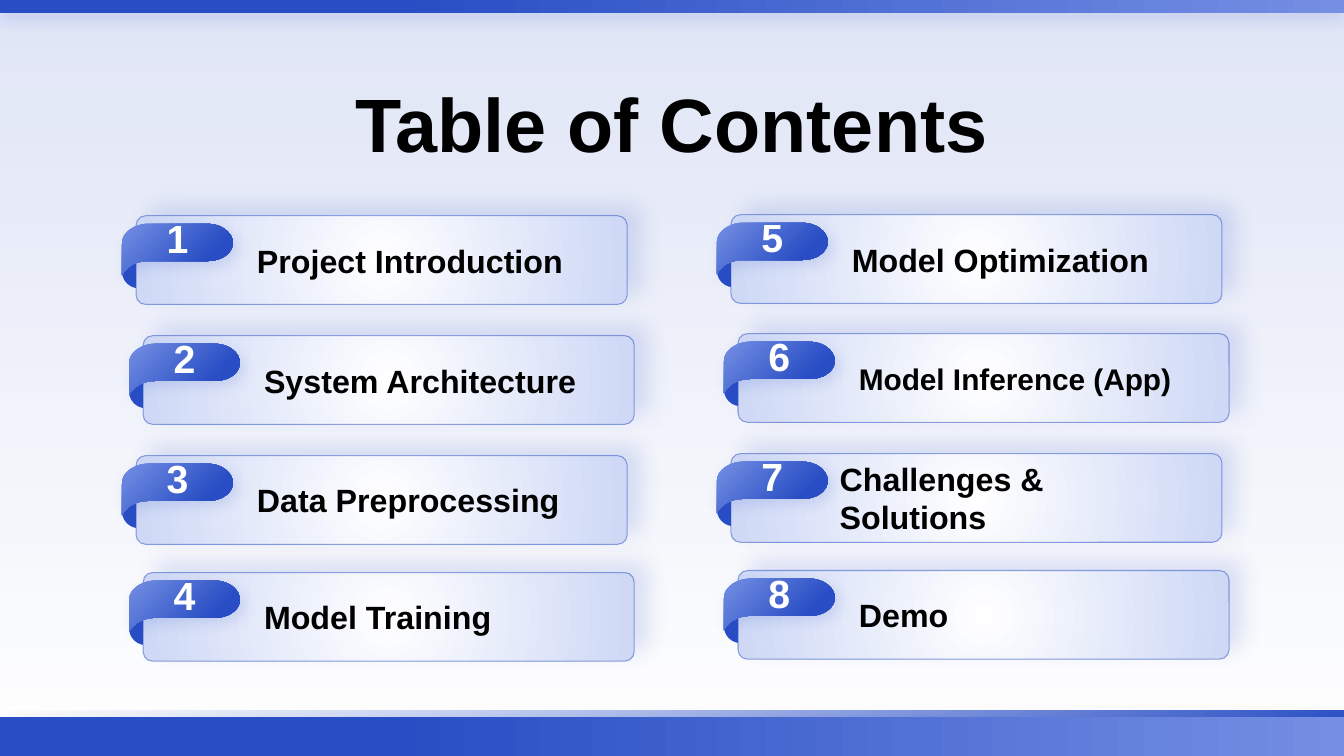
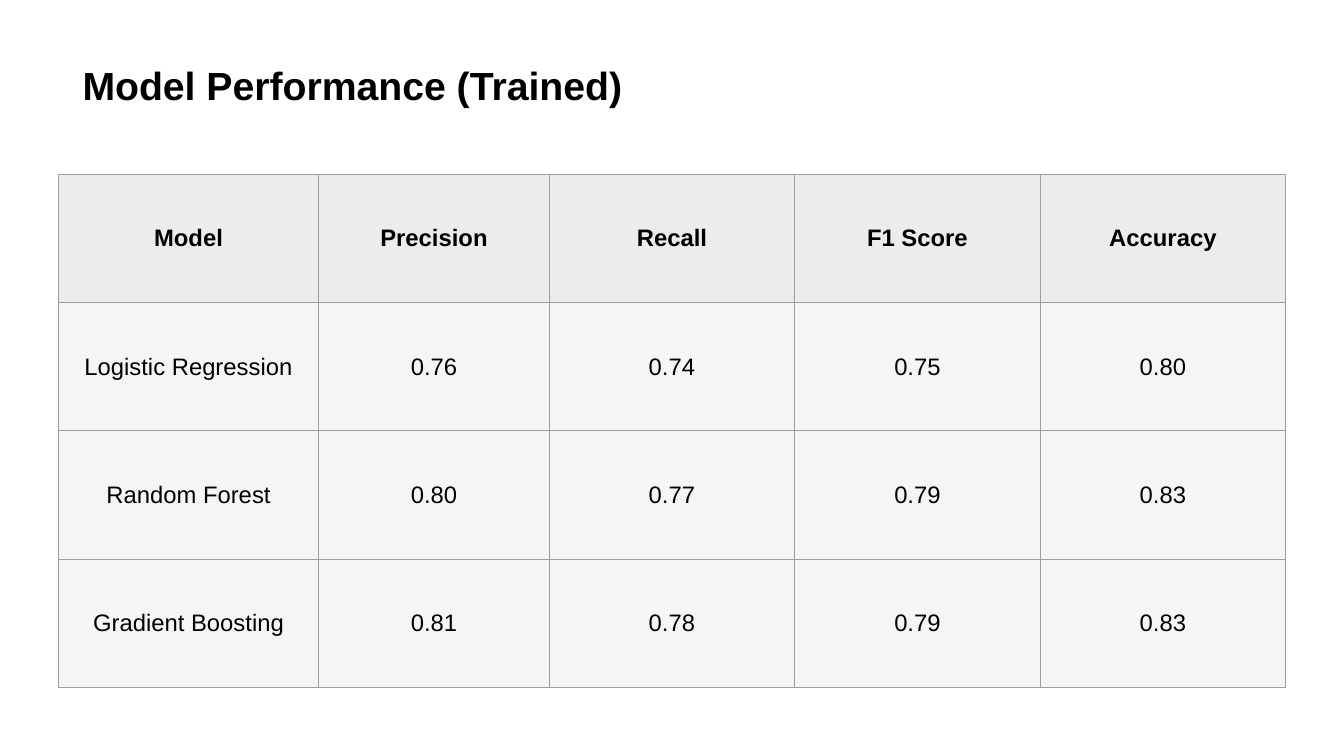
"""Builds a contents page and a model performance table."""
from dataclasses import dataclass
from typing import Optional

from lxml.etree import SubElement
from pptx import Presentation
from pptx.dml.color import RGBColor
from pptx.enum.shapes import MSO_SHAPE
from pptx.enum.text import MSO_ANCHOR, PP_ALIGN
from pptx.oxml import parse_xml
from pptx.oxml.ns import nsdecls, qn
from pptx.util import Inches, Pt

RECTANGLE = MSO_SHAPE.RECTANGLE
ROUNDED = MSO_SHAPE.ROUNDED_RECTANGLE
LEFT, CENTER = PP_ALIGN.LEFT, PP_ALIGN.CENTER
MIDDLE, BOTTOM = MSO_ANCHOR.MIDDLE, MSO_ANCHOR.BOTTOM

BLUE = RGBColor(0x28, 0x4D, 0xC4)
LIGHT_BLUE = RGBColor(0x74, 0x8F, 0xE3)
PALE_BLUE = RGBColor(0xCF, 0xD9, 0xF6)
WHITE = RGBColor(0xFF, 0xFF, 0xFF)
BLACK = RGBColor(0x00, 0x00, 0x00)
HEADER_GRAY = RGBColor(0xEC, 0xEC, 0xEC)
BODY_GRAY = RGBColor(0xF5, 0xF5, 0xF5)
BORDER_GRAY = RGBColor(0x9E, 0x9E, 0x9E)

FONT = "Arial"
PAGE_WIDTH, PAGE_HEIGHT = 13.33, 7.5


@dataclass(frozen=True)
class Box:
    left: float
    top: float
    width: float
    height: float

    def lengths(self) -> tuple:
        return tuple(Inches(side) for side in (self.left, self.top, self.width, self.height))


@dataclass(frozen=True)
class Stop:
    position: int
    color: RGBColor
    alpha: int = 100


@dataclass(frozen=True)
class Gradient:
    stops: tuple
    angle: Optional[int] = None


@dataclass(frozen=True)
class Shadow:
    blur: int
    distance: int
    angle: int


@dataclass(frozen=True)
class Style:
    size: float
    color: RGBColor = BLACK
    bold: bool = True
    align: PP_ALIGN = LEFT
    anchor: MSO_ANCHOR = MIDDLE


@dataclass(frozen=True)
class Entry:
    label: str
    size: float = 23
    indent: float = 1.1
    drop: float = 0.15
    width: float = 3.52


@dataclass(frozen=True)
class Band:
    box: Box
    fill: Gradient


PAGE_FILL = Gradient((Stop(0, BLUE, 0), Stop(100, BLUE, 15)), 270)
FADE_FILL = Gradient((Stop(0, LIGHT_BLUE, 0), Stop(100, BLUE)), 45)
BAND_FILL = Gradient((Stop(0, LIGHT_BLUE), Stop(71, BLUE), Stop(100, BLUE)), 180)
PANEL_FILL = Gradient((Stop(0, WHITE), Stop(97, PALE_BLUE), Stop(100, PALE_BLUE)))
RIBBON_FILL = Gradient((Stop(0, LIGHT_BLUE), Stop(75, BLUE), Stop(100, BLUE)), 45)
BAND_SHADOW = Shadow(10, 4, 90)
PANEL_SHADOW = Shadow(16, 12, 321)
RIBBON_SHADOW = Shadow(10, 5, 45)

BANDS = (
    Band(Box(0, 7.05, PAGE_WIDTH, 0.45), FADE_FILL),
    Band(Box(0, 7.11, PAGE_WIDTH, 0.39), BAND_FILL),
    Band(Box(0, 0, PAGE_WIDTH, 0.13), BAND_FILL),
)

ENTRIES = (
    Entry("Project Introduction"),
    Entry("System Architecture"),
    Entry("Data Preprocessing", drop=0.14),
    Entry("Model Training", drop=0.14),
    Entry("Model Optimization"),
    Entry("Model Inference (App)", size=21.3),
    Entry("Challenges & Solutions", indent=0.98, drop=0.14, width=3.4),
    Entry("Demo", drop=0.14),
)
COLUMN_LEFTS = (1.35, 7.25)
COLUMN_TOPS = ((2.14, 3.33, 4.52, 5.68), (2.13, 3.31, 4.5, 5.66))
STAGGER = 0.07

RIBBON_START = (0.26, 0)
RIBBON_SEGMENTS = (
    ((0.85, 0),),
    ((0.99, 0), (1.1, 0.09), (1.1, 0.19)),
    ((1.1, 0.29), (0.99, 0.37), (0.85, 0.37)),
    ((0.26, 0.37),),
    ((0.15, 0.37), (0.06, 0.42), (0.02, 0.48)),
    ((0, 0.51),),
    ((0, 0.41), (0, 0.31), (0, 0.21)),
    ((0, 0.18), (0, 0.16), (0.02, 0.12)),
    ((0.06, 0.05), (0.16, 0), RIBBON_START),
)

TABLE_BOX = Box(0.58, 1.73, 12.18, 5.09)
COLUMN_WIDTHS = (2.58, 2.29, 2.43, 2.44, 2.43)
SCORES = (
    ("Model", "Precision", "Recall", "F1 Score", "Accuracy"),
    ("Logistic Regression", "0.76", "0.74", "0.75", "0.80"),
    ("Random Forest", "0.80", "0.77", "0.79", "0.83"),
    ("Gradient Boosting", "0.81", "0.78", "0.79", "0.83"),
)


def write_text(frame, text: str, style: Style) -> None:
    frame.word_wrap = True
    frame.vertical_anchor = style.anchor
    frame.text = text
    para = frame.paragraphs[0]
    para.alignment = style.align
    font = para.runs[0].font
    font.name, font.size, font.bold = FONT, Pt(style.size), style.bold
    font.color.rgb = style.color


def add_text(page, box: Box, text: str, style: Style) -> None:
    write_text(page.shapes.add_textbox(*box.lengths()).text_frame, text, style)


def apply_gradient(shape, gradient: Gradient) -> None:
    stops = "".join(
        f'<a:gs pos="{stop.position * 1000}"><a:srgbClr val="{stop.color}">'
        f'<a:alpha val="{stop.alpha * 1000}"/></a:srgbClr></a:gs>'
        for stop in gradient.stops
    )
    if gradient.angle is None:
        direction = '<a:path path="circle"><a:fillToRect l="50000" t="50000" r="50000" b="50000"/></a:path>'
    else:
        direction = f'<a:lin ang="{gradient.angle * 60000}" scaled="0"/>'
    fill = f'<a:gradFill {nsdecls("a")} rotWithShape="1"><a:gsLst>{stops}</a:gsLst>{direction}</a:gradFill>'
    shape.element.spPr.insert(2, parse_xml(fill))


def apply_shadow(shape, shadow: Shadow) -> None:
    effects = shape.element.spPr.find(qn("a:effectLst"))
    effects.append(parse_xml(
        f'<a:outerShdw {nsdecls("a")} blurRad="{Pt(shadow.blur)}" dist="{Pt(shadow.distance)}" '
        f'dir="{shadow.angle * 60000}" algn="ctr" rotWithShape="0">'
        f'<a:srgbClr val="{BLUE}"><a:alpha val="15000"/></a:srgbClr></a:outerShdw>'
    ))


def make_plain(shape) -> None:
    shape.shadow.inherit = False
    shape.line.fill.background()


def add_box(page, kind: MSO_SHAPE, box: Box, rounding: float = 0):
    shape = page.shapes.add_shape(kind, *box.lengths())
    make_plain(shape)
    if kind == ROUNDED:
        shape.adjustments[0] = rounding
    return shape


def add_backdrop(page) -> None:
    apply_gradient(add_box(page, ROUNDED, Box(0, 0, PAGE_WIDTH, PAGE_HEIGHT)), PAGE_FILL)


def add_band(page, band: Band) -> None:
    shape = add_box(page, RECTANGLE, band.box)
    apply_gradient(shape, band.fill)
    apply_shadow(shape, BAND_SHADOW)


def add_panel(page, left: float, top: float) -> None:
    panel = add_box(page, ROUNDED, Box(left, top, 4.87, 0.88), 0.107)
    panel.line.color.rgb = BLUE
    panel.line.width = Pt(0.75)
    outline = panel.element.spPr.find(qn("a:ln"))
    SubElement(next(outline.iter(qn("a:srgbClr"))), qn("a:alpha"), val="50000")
    apply_gradient(panel, PANEL_FILL)
    apply_shadow(panel, PANEL_SHADOW)


def bend_outline(shape, segments: tuple) -> None:
    steps = iter(list(shape.element.spPr.iter(qn("a:lnTo"))))
    for segment in segments:
        first, *others = [next(steps) for _ in segment]
        if others:
            first.tag = qn("a:cubicBezTo")
        for step in others:
            first.append(step[0])
            step.getparent().remove(step)


def add_ribbon(page, left: float, top: float, number: int) -> None:
    points = [(Inches(x), Inches(y)) for segment in RIBBON_SEGMENTS for x, y in segment]
    builder = page.shapes.build_freeform(*(Inches(side) for side in RIBBON_START))
    builder.add_line_segments(points, close=True)
    ribbon = builder.convert_to_shape(Inches(left), Inches(top))
    bend_outline(ribbon, RIBBON_SEGMENTS)
    make_plain(ribbon)
    apply_gradient(ribbon, RIBBON_FILL)
    apply_shadow(ribbon, RIBBON_SHADOW)
    ribbon.text_frame.margin_bottom = Inches(0.28)
    write_text(ribbon.text_frame, str(number), Style(28, WHITE, align=CENTER))


def add_entry(page, index: int, entry: Entry) -> None:
    column, row = divmod(index, len(COLUMN_TOPS[0]))
    left = COLUMN_LEFTS[column] + STAGGER * (row % 2)
    top = COLUMN_TOPS[column][row]
    curl = add_box(page, ROUNDED, Box(left - 0.14, top + 0.39, 0.81, 0.33), 0.5)
    curl.fill.solid()
    curl.fill.fore_color.rgb = BLUE
    add_panel(page, left, top)
    label_box = Box(left + entry.indent, top + entry.drop, entry.width, 0.59)
    add_text(page, label_box, entry.label, Style(entry.size))
    add_ribbon(page, left - 0.14, top + 0.08, index + 1)


def format_cell(cell, text: str, header: bool) -> None:
    cell.margin_left = cell.margin_right = cell.margin_top = cell.margin_bottom = Inches(0.1)
    write_text(cell.text_frame, text, Style(17, bold=header, align=CENTER))
    cell.vertical_anchor = MIDDLE
    properties = cell._tc.get_or_add_tcPr()
    for side in ("lnL", "lnR", "lnT", "lnB"):
        properties.append(parse_xml(
            f'<a:{side} {nsdecls("a")} w="{Pt(0.75)}"><a:solidFill>'
            f'<a:srgbClr val="{BORDER_GRAY}"/></a:solidFill></a:{side}>'
        ))
    cell.fill.solid()
    cell.fill.fore_color.rgb = HEADER_GRAY if header else BODY_GRAY


def add_score_table(page) -> None:
    frame = page.shapes.add_table(len(SCORES), len(COLUMN_WIDTHS), *TABLE_BOX.lengths())
    table = frame.table
    for column, width in zip(table.columns, COLUMN_WIDTHS):
        column.width = Inches(width)
    for row, values in enumerate(SCORES):
        for column, value in enumerate(values):
            format_cell(table.cell(row, column), value, row == 0)


def build_contents(page) -> None:
    add_backdrop(page)
    add_text(page, Box(0.72, 0.78, 11.88, 0.87), "Table of Contents", Style(54, align=CENTER))
    for band in BANDS:
        add_band(page, band)
    for index, entry in enumerate(ENTRIES):
        add_entry(page, index, entry)


def build_performance(page) -> None:
    add_text(page, Box(0.72, 0.14, 11.88, 0.98), "Model Performance (Trained)", Style(28, anchor=BOTTOM))
    add_score_table(page)


def main() -> None:
    deck = Presentation()
    deck.slide_width, deck.slide_height = Inches(PAGE_WIDTH), Inches(PAGE_HEIGHT)
    for build in (build_contents, build_performance):
        build(deck.slides.add_slide(deck.slide_layouts[6]))
    deck.save("out.pptx")


if __name__ == "__main__":
    main()
